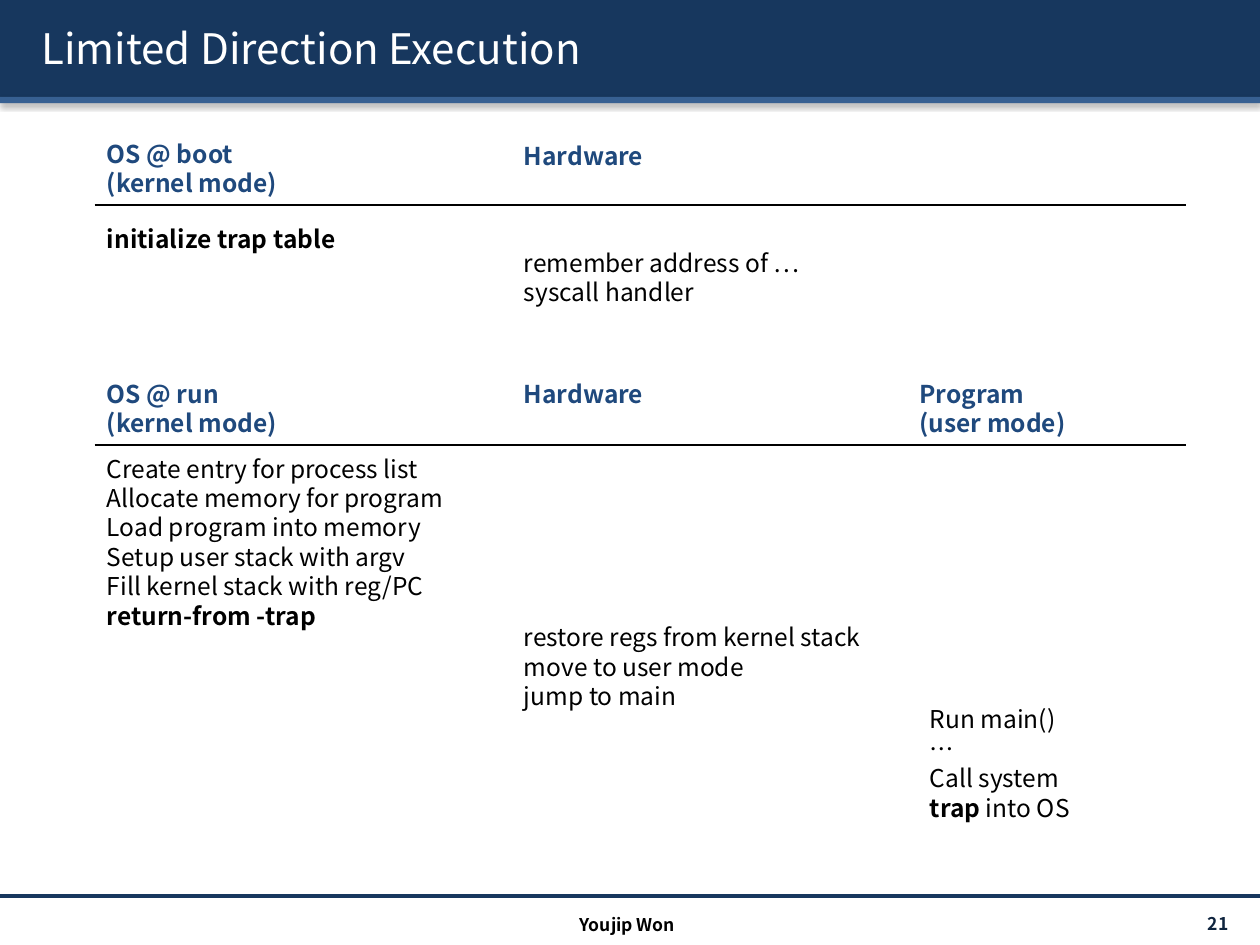
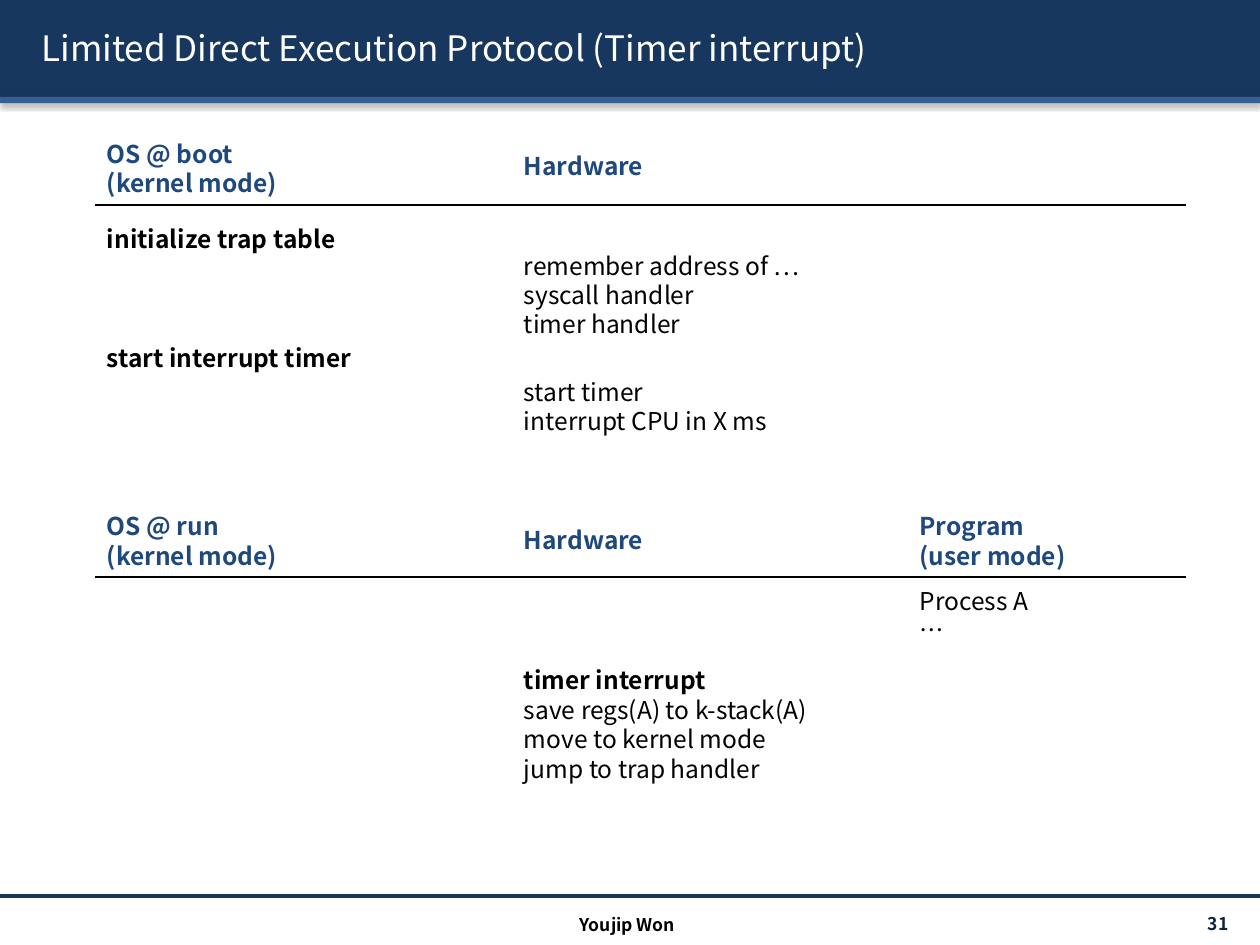
import dataclasses

import lxml.etree
import pptx
import pptx.dml.color
import pptx.enum.shapes
import pptx.enum.text
import pptx.oxml.ns
import pptx.util

Pt = pptx.util.Pt
ALIGN = pptx.enum.text.PP_ALIGN
ANCHOR = pptx.enum.text.MSO_ANCHOR
qn = pptx.oxml.ns.qn


@dataclasses.dataclass(frozen=True)
class Theme:
    """Colours, type sizes and measures shared by all slides."""
    font: str = "Noto Sans CJK KR"
    navy: str = "17375E"
    steel: str = "376092"
    heading: str = "1F497D"
    number: str = "0F243E"
    black: str = "000000"
    white: str = "FFFFFF"
    body_size: float = 14
    footer_size: float = 10
    body_pitch: float = 16.8
    width: float = 720
    height: float = 540


THEME = Theme()
COLUMNS = {"os": 54, "hardware": 292.3, "program": 518.4}
HEADINGS = {
    "boot": ["OS @ boot", "(kernel mode)"],
    "run": ["OS @ run", "(kernel mode)"],
    "hardware": ["Hardware"],
    "program": ["Program", "(user mode)"],
}
HEADING_HEIGHT = 41
RULE_RIGHT = 677.5


def apply(target, formats):
    """Set every attribute in a dict of format values."""
    for attribute, value in formats.items():
        setattr(target, attribute, value)


def rgb(colour):
    """Turn a hex string into a colour value."""
    return pptx.dml.color.RGBColor.from_string(colour)


def add_shadow(effects, blur, distance, angle, opacity):
    """Fill an effect list with one outer black shadow."""
    shadow = lxml.etree.SubElement(
        effects, qn("a:outerShdw"), blurRad=str(Pt(blur)), dist=str(Pt(distance)),
        dir=str(angle * 60000), algn="t", rotWithShape="0")
    black = lxml.etree.SubElement(shadow, qn("a:srgbClr"), val=THEME.black)
    lxml.etree.SubElement(black, qn("a:alpha"), val=str(opacity * 1000))


def add_run(paragraph, words, size, colour, bold, shadowed):
    """Append one styled run."""
    run = paragraph.add_run()
    apply(run, {"text": words})
    apply(run.font, {"size": Pt(size), "bold": bold, "name": THEME.font})
    run.font.color.rgb = rgb(colour)
    latin = run.font._element.find(qn("a:latin"))
    latin.addnext(latin.makeelement(qn("a:ea"), {"typeface": THEME.font}))
    if shadowed:
        effects = latin.makeelement(qn("a:effectLst"), {})
        latin.addprevious(effects)
        add_shadow(effects, 0, 1.5, 45, 100)


def add_text(slide, box, lines, size=THEME.body_size, colour=THEME.black, bold=False,
             align=ALIGN.LEFT, anchor=ANCHOR.TOP, pitch=None, shadowed=False):
    """Write lines into a box, with words between asterisks in bold."""
    frame = slide.shapes.add_textbox(*map(Pt, box)).text_frame
    apply(frame, {"word_wrap": True, "vertical_anchor": anchor})
    for index, line in enumerate(lines):
        paragraph = frame.add_paragraph() if index else frame.paragraphs[0]
        apply(paragraph, {"alignment": align, "line_spacing": pitch and Pt(pitch)})
        for part, words in enumerate(line.split("*")):
            if words:
                add_run(paragraph, words, size, colour, bold or part % 2 == 1, shadowed)


def add_rule(slide, left, right, top, colour, weight):
    """Draw a horizontal rule without a shadow."""
    rule = slide.shapes.add_connector(
        pptx.enum.shapes.MSO_CONNECTOR.STRAIGHT, Pt(left), Pt(top), Pt(right), Pt(top))
    rule.line.color.rgb = rgb(colour)
    rule.line.width = Pt(weight)
    lxml.etree.SubElement(rule._element.spPr, qn("a:effectLst"))


def add_title_band(slide, box, title, size):
    """Draw the two-tone band with the title in it."""
    left, top, width, height = box
    edge = 3.6
    for offset, depth, colour in ((0, height - edge, THEME.navy),
                                  (height - edge, edge, THEME.steel)):
        band = slide.shapes.add_shape(
            pptx.enum.shapes.MSO_SHAPE.RECTANGLE,
            Pt(left), Pt(top + offset), Pt(width), Pt(depth))
        band.shadow.inherit = False
        band.fill.solid()
        band.fill.fore_color.rgb = rgb(colour)
        band.line.fill.background()
        add_shadow(band._element.spPr.find(qn("a:effectLst")), 3.1, 1.6, 90, 38)
    add_text(slide, (left + 16.6, top + 4.3, width - 28, 46), [title], size,
             THEME.white, anchor=ANCHOR.MIDDLE, shadowed=True)


def add_footer(slide, box, number):
    """Draw the footer rule, the author and the slide number."""
    left, top, width, height = box
    add_rule(slide, left, left + width, top, THEME.navy, 2)
    add_text(slide, (left + width - 92.9, top + 7.2, 84.2, 17.3), [f"{number} "],
             THEME.footer_size, THEME.number, True, ALIGN.RIGHT, ANCHOR.MIDDLE)
    add_text(slide, (left + 239, top + 6.5, 239, 17.3), ["Youjip Won"],
             THEME.footer_size, bold=True, align=ALIGN.CENTER,
             pitch=THEME.footer_size * 1.2)


def add_phase(slide, top, headings, steps):
    """Place the column headings, their rule and the steps below it."""
    for column, (heading, offset) in headings.items():
        add_text(slide, (COLUMNS[column], top + offset, 136, HEADING_HEIGHT),
                 HEADINGS[heading], colour=THEME.heading, bold=True,
                 pitch=THEME.body_pitch)
    rule_top = top + HEADING_HEIGHT + 0.3
    add_rule(slide, COLUMNS["os"], RULE_RIGHT, rule_top, THEME.black, 1)
    for column, indent, offset, lines in steps:
        height = len(lines) * THEME.body_pitch + 7.2
        add_text(slide, (COLUMNS[column] + indent, rule_top + offset, 215, height),
                 lines, pitch=THEME.body_pitch)


def add_protocol_slide(deck, title, title_size, number, phases):
    """Build one slide of the execution protocol."""
    slide = deck.slides.add_slide(deck.slide_layouts[6])
    add_title_band(slide, (0, 0, THEME.width, 59), title, title_size)
    add_footer(slide, (0, 512, THEME.width, 28), number)
    for phase in phases:
        add_phase(slide, *phase)


def main():
    """Build the deck and save it."""
    deck = pptx.Presentation()
    apply(deck, {"slide_width": Pt(THEME.width), "slide_height": Pt(THEME.height)})
    add_protocol_slide(deck, "Limited Direction Execution", 24, 21, [
        (75.8, {"os": ("boot", 0), "hardware": ("hardware", 1.2)}, [
            ("os", 0, 7.3, ["*initialize trap table*"]),
            ("hardware", 0, 21, ["remember address of …", "syscall handler"]),
        ]),
        (213, {"os": ("run", 0), "hardware": ("hardware", 0),
               "program": ("program", 0)}, [
            ("os", 0, 1.4, ["Create entry for process list",
                            "Allocate memory for program",
                            "Load program into memory",
                            "Setup user stack with argv",
                            "Fill kernel stack with reg/PC",
                            "*return-from -trap*"]),
            ("hardware", 0, 97.8, ["restore regs from kernel stack",
                                   "move to user mode", "jump to main"]),
            ("program", 5.8, 144.6, ["Run main()", "…", "Call system",
                                     "*trap* into OS"]),
        ]),
    ])
    add_protocol_slide(deck, "Limited Direct Execution Protocol (Timer interrupt)", 20, 31, [
        (75.8, {"os": ("boot", 0), "hardware": ("hardware", 7)}, [
            ("os", 0, 7.3, ["*initialize trap table*"]),
            ("hardware", 0, 22.6, ["remember address of …", "syscall handler",
                                   "timer handler"]),
            ("os", 0, 75.1, ["*start interrupt timer*"]),
            ("hardware", 0, 94.6, ["start timer", "interrupt CPU in X ms"]),
        ]),
        (288.6, {"os": ("run", 0), "hardware": ("hardware", 8),
                 "program": ("program", 0)}, [
            ("program", 0, 1.4, ["Process A", "…"]),
            ("hardware", 0, 46.7, ["*timer interrupt*", "save regs(A) to k-stack(A)",
                                   "move to kernel mode", "jump to trap handler"]),
        ]),
    ])
    deck.save("out.pptx")


if __name__ == "__main__":
    main()
